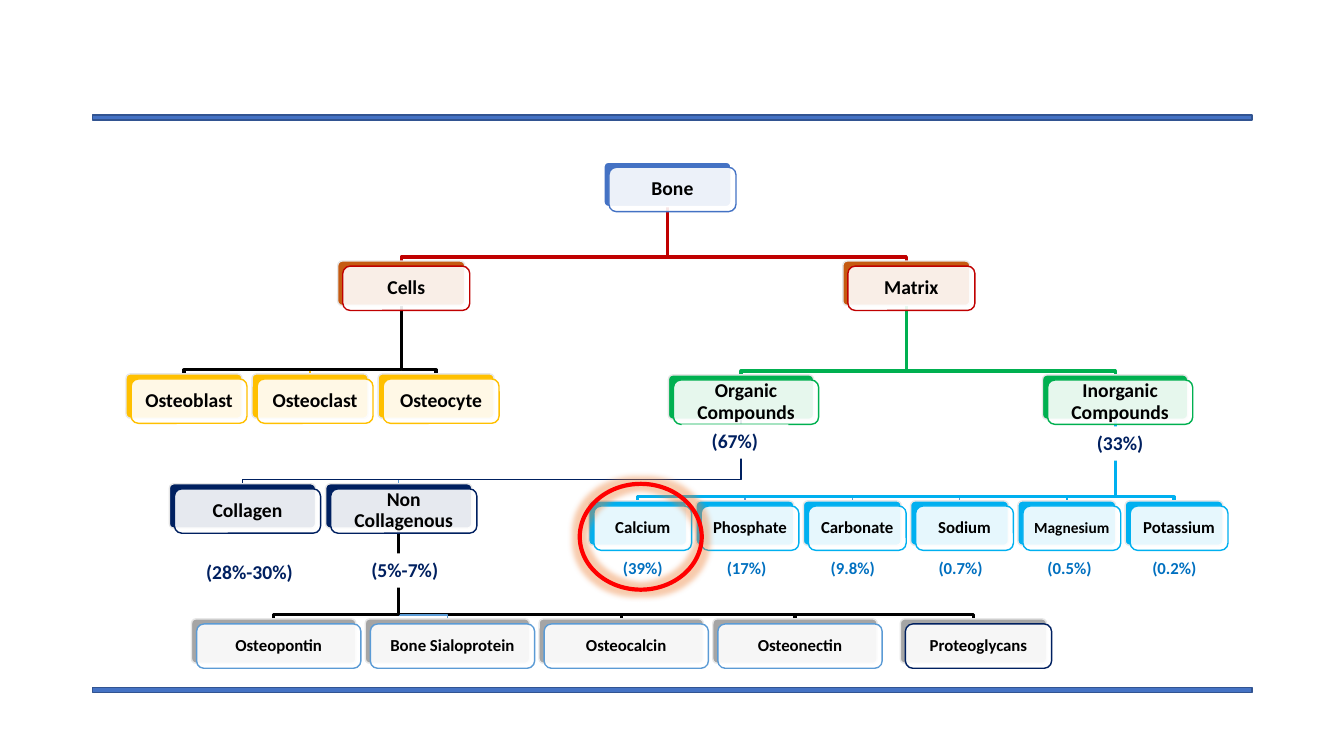
from dataclasses import dataclass

from lxml import etree
from pptx import Presentation
from pptx import util as u
from pptx.dml.color import RGBColor
from pptx.enum import shapes, text
from pptx.oxml import ns

CARD_HEIGHT = 0.44
CARD_OFFSET = 0.05
BRANCH_DROP = 0.04
BLACK, WHITE, NAVY, RED = "000000", "FFFFFF", "002060", "C00000"
GREEN, SKY, STEEL, AMBER = "00B050", "00B0F0", "5B9BD5", "FFC000"
HEAVY, LIGHT = 2.25, 1


@dataclass
class Node:
    label: str
    left: float
    top: float
    width: float
    accent: str
    edge: str
    size: float = 14
    outline: str = "E7E7E7"

    @property
    def center(self):
        return self.left + self.width / 2


def colour(value):
    return RGBColor.from_string(value)


def sub_element(parent, tag, **attributes):
    return etree.SubElement(parent, ns.qn(tag), attributes)


def style(shape, fill=None, line=None, weight=1):
    shape.shadow.inherit = False
    if fill:
        shape.fill.solid()
        shape.fill.fore_color.rgb = colour(fill)
    else:
        shape.fill.background()
    if line:
        shape.line.color.rgb = colour(line)
        shape.line.width = u.Pt(weight)
    else:
        shape.line.fill.background()


def add_box(slide, kind, box, **look):
    shape = slide.shapes.add_shape(kind, *map(u.Inches, box))
    style(shape, **look)
    return shape


def write(paragraph, words, size, ink):
    run = paragraph.add_run()
    run.text = words
    font = run.font
    font.name, font.size, font.bold = "Calibri", u.Pt(size), True
    font.color.rgb = colour(ink)


def row(labels, first, last, top, width, accent, edge, size=14):
    """Return equally spaced nodes whose left edges run from first to last."""
    pitch = (last - first) / (len(labels) - 1)
    return [Node(label, first + i * pitch, top, width, accent, edge, size)
            for i, label in enumerate(labels)]


def add_branch(slide, parent, child, line, weight):
    bar = child.top - BRANCH_DROP
    points = [(parent.center, parent.top + CARD_HEIGHT), (parent.center, bar),
              (child.center, bar), (child.center, child.top)]
    start, *rest = [(u.Inches(x), u.Inches(y)) for x, y in points]
    builder = slide.shapes.build_freeform(*start)
    builder.add_line_segments(rest, close=False)
    style(builder.convert_to_shape(), line=line, weight=weight)


def add_card(slide, node):
    """Draw a coloured backing card with a pale labelled card over it."""
    rounded = shapes.MSO_SHAPE.ROUNDED_RECTANGLE
    backing = add_box(slide, rounded, (node.left, node.top, node.width, CARD_HEIGHT),
                      fill=node.accent, line=node.outline)
    backing.adjustments[0] = 0.1
    face = add_box(slide, rounded,
                   (node.left + CARD_OFFSET, node.top + CARD_OFFSET,
                    node.width, CARD_HEIGHT), fill=WHITE, line=node.edge)
    tint = face.fill._xPr.find(ns.qn("a:solidFill"))[0]
    sub_element(tint, "a:alpha", val="90000")
    frame = face.text_frame
    frame.word_wrap = True
    frame.vertical_anchor = text.MSO_ANCHOR.MIDDLE
    inset = u.Inches(0.06 if node.size == 14 else 0.05)
    frame.margin_left = frame.margin_right = inset
    frame.margin_top = frame.margin_bottom = inset
    label = frame.paragraphs[0]
    label.alignment = text.PP_ALIGN.CENTER
    label.line_spacing = 0.9
    write(label, node.label, node.size, BLACK)


def add_share(slide, words, left, top, width):
    share = slide.shapes.add_textbox(*map(u.Inches, (left, top, width, 0.34)))
    style(share, fill=WHITE)
    share.text_frame.word_wrap = True
    paragraph = share.text_frame.paragraphs[0]
    paragraph.alignment = text.PP_ALIGN.CENTER
    write(paragraph, words, 14, NAVY)


def add_mineral_shares(slide, left, top, width):
    shares = slide.shapes.add_textbox(*map(u.Inches, (left, top, width, 0.3)))
    shares.text_frame.word_wrap = True
    paragraph = shares.text_frame.paragraphs[0]
    stops = sub_element(paragraph._p.get_or_add_pPr(), "a:tabLst")
    for stop in (1.03, 2.06, 3.13, 4.21, 5.25):
        sub_element(stops, "a:tab", pos=str(u.Inches(stop)), algn="l")
    write(paragraph, "(39%)\t(17%)\t(9.8%)\t(0.7%)\t(0.5%)\t(0.2%)", 12, "0070C0")


def add_highlight(slide, box):
    ring = add_box(slide, shapes.MSO_SHAPE.OVAL, box, line="FF0000", weight=3)
    effects = ring._element.spPr.find(ns.qn("a:effectLst"))
    glow = sub_element(effects, "a:glow", rad=str(u.Pt(8)))
    tint = sub_element(glow, "a:srgbClr", val="ED7D31")
    sub_element(tint, "a:alpha", val="40000")


def add_rules(slide, left, width, tops):
    for top in tops:
        add_box(slide, shapes.MSO_SHAPE.RECTANGLE, (left, top, width, 0.05),
                fill="4472C4", line="325491")


def add_bone_tree(slide):
    bone = Node("Bone", 5.99, 1.61, 1.26, "4472C4", "4472C4", outline=WHITE)
    parts = row(["Cells", "Matrix"], 3.35, 8.36, 2.59, 1.26, "C55A11", RED)
    cells, matrix = parts
    cell_types = row(["Osteoblast", "Osteoclast", "Osteocyte"],
                     1.25, 3.75, 3.71, 1.15, AMBER, AMBER)
    compounds = row(["Organic Compounds", "Inorganic Compounds"],
                    6.63, 10.34, 3.72, 1.44, GREEN, GREEN)
    organic, inorganic = compounds
    proteins = row(["Collagen", "Non Collagenous"],
                   1.68, 3.23, 4.8, 1.45, NAVY, NAVY)
    others = row(["Osteopontin", "Bone Sialoprotein", "Osteocalcin", "Osteonectin"],
                 1.9, 7.07, 6.14, 1.63, "A5A5A5", STEEL, 12)
    others.append(Node("Proteoglycans", 8.93, 6.14, 1.45, "A5A5A5", NAVY, 12))
    minerals = row(["Calcium", "Phosphate", "Carbonate", "Sodium", "Magnesium",
                    "Potassium"], 5.84, 11.16, 4.97, 0.97, SKY, SKY, 12)
    minerals[4].size = 11

    black, sky, steel = (BLACK, HEAVY), (SKY, HEAVY), (STEEL, LIGHT)
    families = [
        (bone, parts, [(RED, HEAVY)] * 2),
        (cells, cell_types, [black, (AMBER, LIGHT), black]),
        (matrix, compounds, [(GREEN, HEAVY)] * 2),
        (organic, proteins, [(NAVY, LIGHT), steel]),
        (proteins[1], others, [black, steel, black, black, black]),
        (inorganic, minerals, [sky, steel, steel, steel, (SKY, LIGHT), sky]),
    ]
    for parent, children, lines in families:
        for child, line in reversed(list(zip(children, lines))):
            add_branch(slide, parent, child, *line)
    add_card(slide, bone)
    for _, children, _ in families:
        for child in children:
            add_card(slide, child)


def main():
    deck = Presentation()
    deck.slide_width, deck.slide_height = u.Inches(13.33), u.Inches(7.5)
    slide = deck.slides.add_slide(deck.slide_layouts[6])
    add_rules(slide, 0.92, 11.5, (1.14, 6.82))
    add_bone_tree(slide)
    add_share(slide, "(28%-30%)", 1.87, 5.51, 1.21)
    add_share(slide, "(5%-7%)", 3.41, 5.49, 1.21)
    add_mineral_shares(slide, 6.08, 5.48, 6.22)
    add_highlight(slide, (5.75, 4.8, 1.21, 1.05))
    add_share(slide, "(67%)", 6.76, 4.21, 1.06)
    add_share(slide, "(33%)", 10.58, 4.23, 1.06)
    deck.save("out.pptx")


if __name__ == "__main__":
    main()
